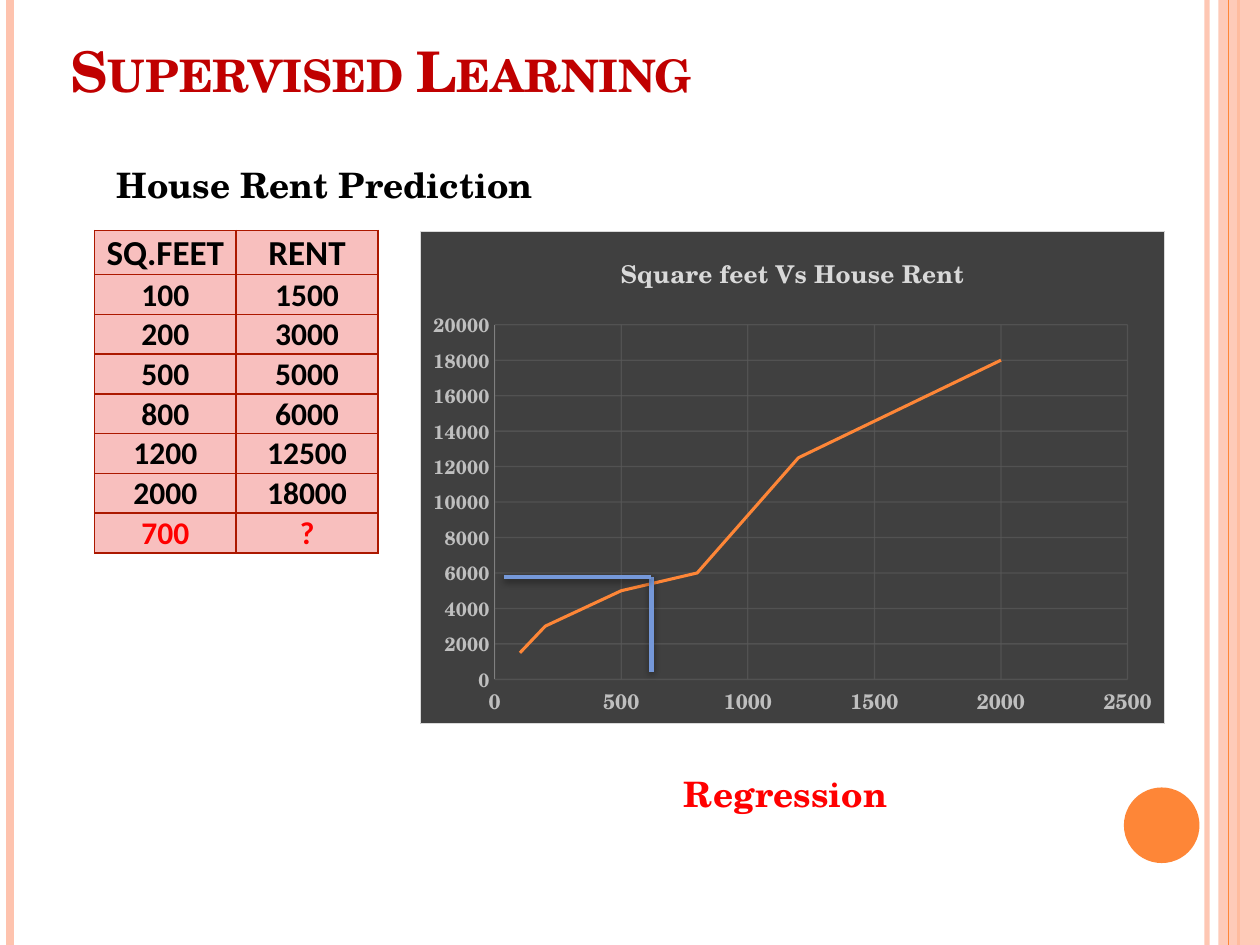
from dataclasses import dataclass

from lxml.etree import SubElement
from pptx import Presentation
from pptx.chart.data import XyChartData
from pptx.dml.color import RGBColor
from pptx.enum.chart import XL_CHART_TYPE as ChartType, XL_TICK_MARK as TickMark
from pptx.enum.shapes import MSO_CONNECTOR as Connector, MSO_SHAPE as Shape
from pptx.enum.text import MSO_ANCHOR as Anchor, PP_ALIGN as Align
from pptx.oxml import parse_xml
from pptx.oxml.ns import nsdecls, qn
from pptx.util import Inches, Pt

PEACH = RGBColor(0xFE, 0xC3, 0xAE)
ORANGE = RGBColor(0xFE, 0x86, 0x37)
BLUE = RGBColor(0x75, 0x98, 0xD9)
DARK_RED = RGBColor(0xC0, 0x00, 0x00)
RED = RGBColor(0xFF, 0x00, 0x00)
BLACK = RGBColor(0x00, 0x00, 0x00)
CELL_PINK = RGBColor(0xF8, 0xBF, 0xBE)
BORDER_RED = RGBColor(0xAC, 0x18, 0x00)
CHART_DARK = RGBColor(0x40, 0x40, 0x40)
GRID_GRAY = RGBColor(0x59, 0x59, 0x59)
AXIS_GRAY = RGBColor(0x80, 0x80, 0x80)
LABEL_GRAY = RGBColor(0xBF, 0xBF, 0xBF)
LIGHT_GRAY = RGBColor(0xD9, 0xD9, 0xD9)
SERIF = "TeX Gyre Schola"
SANS = "Calibri"

RENTS = [(100, 1500), (200, 3000), (500, 5000), (800, 6000), (1200, 12500), (2000, 18000)]


@dataclass
class Line:
    start: tuple[float, float]
    end: tuple[float, float]
    color: RGBColor
    width: float
    alpha: int = 100
    shadow: bool = False


def vertical_rule(x: float, color: RGBColor, width: float, alpha: int = 100) -> Line:
    return Line((x, 0), (x, 7.5), color, width, alpha)


LEFT_RULES = [
    vertical_rule(9.58, PEACH, 3, 93),
    vertical_rule(0.08, PEACH, 4.5),
    vertical_rule(9.83, ORANGE, 1.5),
]
BAND_RULE = vertical_rule(9.75, ORANGE, 0.75)
CORNER = (5.17, 4.58)
PREDICTION_LINES = [
    Line((5.17, 5.33), CORNER, BLUE, 2.75, shadow=True),
    Line(CORNER, (4, 4.58), BLUE, 2.75, shadow=True),
]


def set_alpha(parent, percent: int) -> None:
    """Make every solid colour below the element partly transparent."""
    for color in parent.iter(qn("a:srgbClr")):
        SubElement(color, qn("a:alpha"), val=str(percent * 1000))


def draw_line(page, line: Line) -> None:
    connector = page.shapes.add_connector(
        Connector.STRAIGHT, *(Inches(value) for value in line.start + line.end))
    connector.line.color.rgb = line.color
    connector.line.width = Pt(line.width)
    properties = connector._element.spPr
    if line.alpha < 100:
        set_alpha(properties, line.alpha)
    effects = SubElement(properties, qn("a:effectLst"))
    if line.shadow:
        shadow = SubElement(effects, qn("a:outerShdw"), blurRad=str(Pt(4)),
                            dist=str(Pt(1.6)), dir="5400000", rotWithShape="0")
        SubElement(shadow, qn("a:srgbClr"), val=str(BLACK))
        set_alpha(shadow, 42)


def draw_shape(page, kind, left, top, width, height, color: RGBColor, alpha=100) -> None:
    shape = page.shapes.add_shape(
        kind, Inches(left), Inches(top), Inches(width), Inches(height))
    shape.shadow.inherit = False
    shape.fill.solid()
    shape.fill.fore_color.rgb = color
    shape.line.fill.background()
    if alpha < 100:
        set_alpha(shape._element.spPr, alpha)


def format_font(font, *, size: float, color: RGBColor, name: str = SERIF) -> None:
    font.name = name
    font.size = Pt(size)
    font.bold = True
    font.color.rgb = color


def write(frame, text: str, *, size: float, color: RGBColor, name: str = SERIF,
          align=Align.LEFT, anchor=Anchor.TOP, small_caps: bool = False) -> None:
    frame.word_wrap = True
    frame.vertical_anchor = anchor
    para = frame.paragraphs[0]
    para.alignment = align
    span = para.add_run()
    span.text = text
    format_font(span.font, size=size, color=color, name=name)
    if small_caps:
        span.font._element.set("cap", "small")


def add_label(page, left: float, top: float, text: str, color: RGBColor) -> None:
    box = page.shapes.add_textbox(Inches(left), Inches(top), Inches(3.75), Inches(0.44))
    write(box.text_frame, text, size=20, color=color)


def border_cell(cell) -> None:
    properties = cell._tc.get_or_add_tcPr()
    for index, side in enumerate(("lnL", "lnR", "lnT", "lnB")):
        properties.insert(index, parse_xml(
            f'<a:{side} {nsdecls("a")} w="{Pt(1)}"><a:solidFill>'
            f'<a:srgbClr val="{BORDER_RED}"/></a:solidFill></a:{side}>'))


def add_rent_table(page) -> None:
    rows = [("SQ.FEET", "RENT"), *RENTS, (700, "?")]
    table = page.shapes.add_table(
        len(rows), 2, Inches(0.75), Inches(1.83), Inches(2.25), Inches(2.5)).table
    for column in table.columns:
        column.width = Inches(1.125)
    for index, values in enumerate(rows):
        header = index == 0
        table.rows[index].height = Inches(0.35 if header else 0.31)
        color = RED if index == len(rows) - 1 else BLACK
        for cell, value in zip(table.rows[index].cells, values):
            cell.margin_left = cell.margin_right = cell.margin_top = Inches(0.01)
            cell.margin_bottom = 0
            cell.vertical_anchor = Anchor.BOTTOM
            cell.fill.solid()
            cell.fill.fore_color.rgb = CELL_PINK
            border_cell(cell)
            para = cell.text_frame.paragraphs[0]
            para.alignment = Align.CENTER
            span = para.add_run()
            span.text = str(value)
            format_font(span.font, size=20 if header else 18, color=color, name=SANS)


def format_axis(axis, maximum: int, step: int, size: float) -> None:
    axis.minimum_scale, axis.maximum_scale, axis.major_unit = 0, maximum, step
    axis.major_tick_mark = axis.minor_tick_mark = TickMark.NONE
    format_font(axis.tick_labels.font, size=size, color=LABEL_GRAY)
    axis.has_major_gridlines = True
    grid = axis.major_gridlines.format.line
    grid.color.rgb = GRID_GRAY
    grid.width = Pt(0.75)
    set_alpha(axis._element.find(qn("c:majorGridlines")), 75)


def add_rent_chart(page) -> None:
    data = XyChartData()
    rents = data.add_series("Series 1")
    for area, rent in RENTS:
        rents.add_data_point(area, rent)
    chart = page.shapes.add_chart(
        ChartType.XY_SCATTER_LINES_NO_MARKERS, Inches(3.33), Inches(1.83),
        Inches(5.92), Inches(3.92), data).chart
    chart.has_legend = False
    chart.font.name, chart.font.size = SERIF, Pt(10)
    chart.font.color.rgb = BLACK
    chart.has_title = True
    span = chart.chart_title.text_frame.paragraphs[0].add_run()
    span.text = "Square feet Vs House Rent"
    format_font(span.font, size=14, color=LIGHT_GRAY)

    format_axis(chart.category_axis, 2500, 500, 12)
    chart.category_axis.format.line.fill.background()
    format_axis(chart.value_axis, 20000, 2000, 11)
    chart.value_axis.format.line.color.rgb = AXIS_GRAY
    chart.value_axis.format.line.width = Pt(0.75)

    chart.plots[0].vary_by_categories = False
    series = chart.plots[0].series[0]
    series.smooth = False
    series.format.line.color.rgb = ORANGE
    series.format.line.width = Pt(1.75)

    space = chart._chartSpace
    space.find(qn("c:txPr")).addprevious(parse_xml(
        f'<c:spPr {nsdecls("c", "a")}><a:solidFill><a:srgbClr val="{CHART_DARK}"/></a:solidFill>'
        f'<a:ln w="{Pt(0.75)}"><a:solidFill><a:srgbClr val="{LIGHT_GRAY}"/></a:solidFill></a:ln>'
        '</c:spPr>'))
    plot_area = space.find(f'{qn("c:chart")}/{qn("c:plotArea")}')
    for old in plot_area.findall(qn("c:layout")):
        plot_area.remove(old)
    layout = parse_xml(f'<c:layout {nsdecls("c")}><c:manualLayout/></c:layout>')
    for tag, value in [("layoutTarget", "inner"), ("xMode", "edge"), ("yMode", "edge"),
                       ("x", "0.1"), ("y", "0.19"), ("w", "0.85"), ("h", "0.72")]:
        SubElement(layout[0], qn(f"c:{tag}"), val=value)
    plot_area.insert(0, layout)


def main() -> None:
    deck = Presentation()
    deck.slide_width, deck.slide_height = Inches(10), Inches(7.5)
    page = deck.slides.add_slide(deck.slide_layouts[5])
    for rule in LEFT_RULES:
        draw_line(page, rule)
    draw_shape(page, Shape.RECTANGLE, 9.67, 0, 0.33, 7.5, PEACH, 87)
    draw_line(page, BAND_RULE)
    draw_shape(page, Shape.OVAL, 8.92, 6.25, 0.6, 0.6, ORANGE)

    title = page.shapes.title
    title.left, title.top = Inches(0.46), Inches(-0.38)
    title.width, title.height = Inches(8.17), Inches(1.25)
    write(title.text_frame, "Supervised Learning", size=32, color=DARK_RED,
          anchor=Anchor.BOTTOM, small_caps=True)
    add_rent_table(page)
    add_label(page, 0.83, 1.25, "House Rent Prediction", BLACK)
    add_rent_chart(page)
    for line in PREDICTION_LINES:
        draw_line(page, line)
    add_label(page, 5.33, 6.08, "Regression", RED)
    deck.save("out.pptx")


if __name__ == "__main__":
    main()
